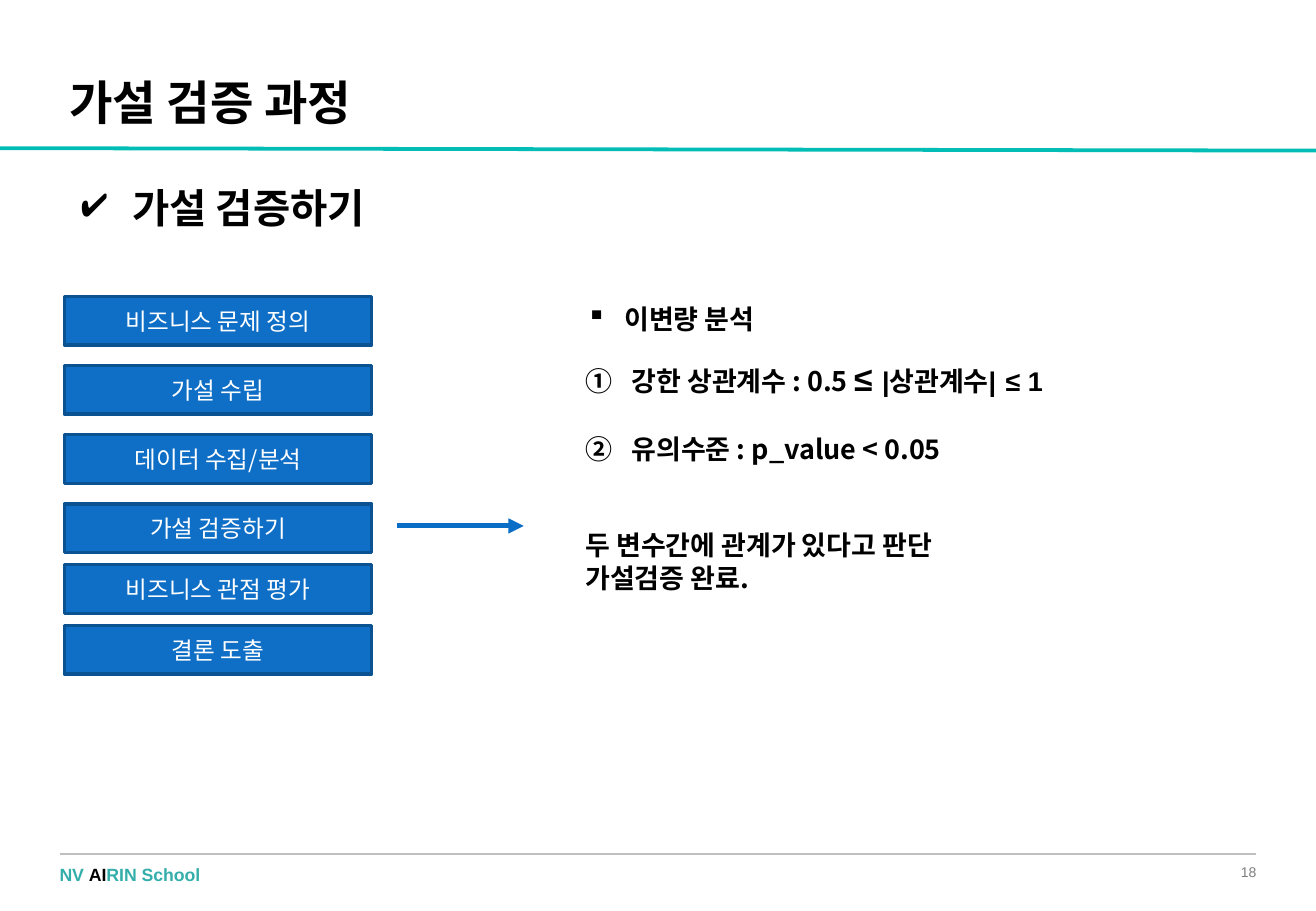
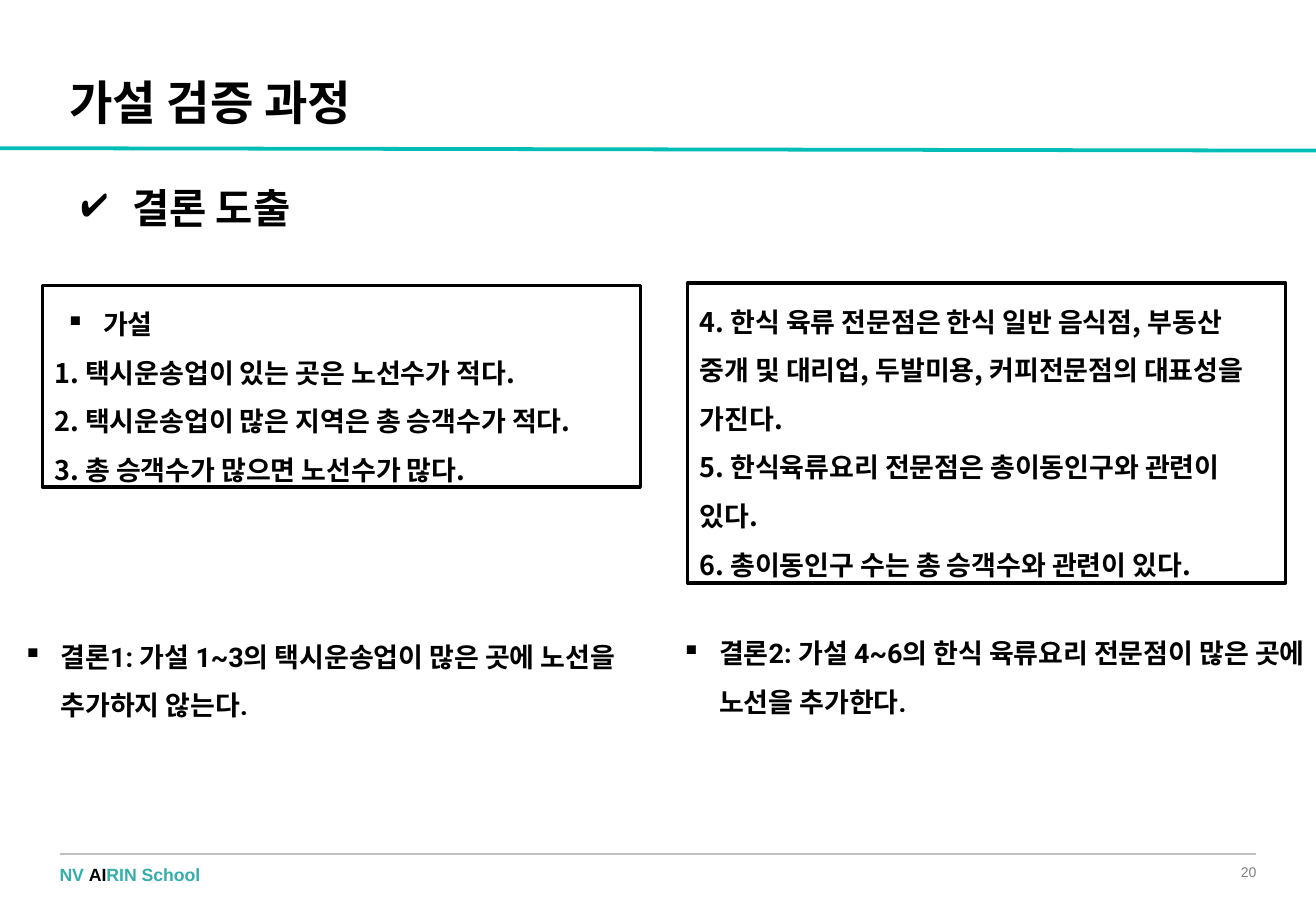
"""Build two slides on the steps of testing a hypothesis."""
from dataclasses import dataclass
from typing import Optional

from lxml.etree import SubElement as Sub
from pptx import Presentation
from pptx.dml.color import RGBColor as Rgb
from pptx.enum.shapes import MSO_CONNECTOR as Conn, MSO_SHAPE as Form
from pptx.enum.text import MSO_ANCHOR as Anchor, PP_ALIGN as Align
from pptx.oxml.ns import qn
from pptx.util import Inches, Pt


@dataclass(frozen=True)
class Theme:
    black: str = "000000"
    white: str = "FFFFFF"
    band: str = "02BDB6"
    brand: str = "34AEAA"
    rule: str = "BFBFBF"
    grey: str = "7F7F7F"
    blue: str = "0F6FC6"
    edge: str = "0B5292"
    arrow: str = "0A6DC6"
    noto: str = "Noto Sans CJK KR"
    roboto: str = "Roboto"
    arial: str = "Arial"
    title: float = 28
    head: float = 24
    big: float = 20
    body: float = 16
    step: float = 14
    foot: float = 10.5
    page: float = 8.3
    tight: float = 19.2
    loose: float = 28.8


T = Theme()


@dataclass(frozen=True)
class Run:
    text: str
    size: Optional[float] = None
    color: Optional[str] = None
    face: Optional[str] = None


@dataclass(frozen=True)
class Para:
    text: str = ""
    runs: tuple[Run, ...] = ()
    size: Optional[float] = T.body
    color: Optional[str] = T.black
    face: Optional[str] = T.noto
    bold: bool = True
    align: Align = Align.LEFT
    lead: Optional[float] = None
    before: float = 0
    left: float = 0
    hang: float = 0
    mark: str = ""
    auto: str = ""


@dataclass(frozen=True)
class Box:
    left: float
    top: float
    width: float
    height: float


def paint(font, size, color, face) -> None:
    """Set the given parts of a font."""
    if size:
        font.size = Pt(size)
    if color:
        font.color.rgb = Rgb.from_string(color)
    if face:
        font.name = face


def write(frame, paras: list[Para]) -> None:
    """Fill a text frame with paragraphs."""
    frame.word_wrap = True
    for i, item in enumerate(paras):
        par = frame.add_paragraph() if i else frame.paragraphs[0]
        props = par._p.get_or_add_pPr()
        props.set("marL", str(Inches(item.left)))
        props.set("indent", str(Inches(-item.hang)))
        if item.mark or item.auto:
            Sub(Sub(props, qn("a:buClr")), qn("a:srgbClr"), val=T.black)
        if item.mark:
            Sub(props, qn("a:buChar"), char=item.mark)
        elif item.auto:
            Sub(props, qn("a:buAutoNum"), type=item.auto)
        par.alignment = item.align
        if item.lead:
            par.line_spacing = Pt(item.lead)
        if item.before:
            par.space_before = Pt(item.before)
        par.font.bold = item.bold
        paint(par.font, item.size, item.color, item.face)
        Sub(props.find(qn("a:defRPr")), qn("a:ea"), typeface=T.noto)
        for part in item.runs or (Run(item.text),):
            run = par.add_run()
            run.text = part.text
            paint(run.font, part.size, part.color, part.face)


def label(slide, box: Box, paras: list[Para], bare: bool = False,
          anchor: Anchor = Anchor.TOP) -> None:
    """Add a text box, without insets if bare."""
    shape = slide.shapes.add_textbox(
        Inches(box.left), Inches(box.top), Inches(box.width), Inches(box.height))
    frame = shape.text_frame
    frame.vertical_anchor = anchor
    if bare:
        frame.margin_left = frame.margin_right = 0
        frame.margin_top = frame.margin_bottom = 0
    write(frame, paras)


def panel(slide, box: Box, paras: list[Para], fill: str, edge: str,
          anchor: Anchor) -> None:
    """Add a filled and outlined rectangle with text."""
    shape = slide.shapes.add_shape(
        Form.RECTANGLE, Inches(box.left), Inches(box.top),
        Inches(box.width), Inches(box.height))
    shape.shadow.inherit = False
    shape.fill.solid()
    shape.fill.fore_color.rgb = Rgb.from_string(fill)
    shape.line.color.rgb = Rgb.from_string(edge)
    shape.line.width = Pt(2)
    shape.text_frame.vertical_anchor = anchor
    write(shape.text_frame, paras)


def stroke(slide, start: tuple[float, float], end: tuple[float, float],
           color: str, width: float, arrow: bool = False) -> None:
    """Draw a straight line, with an arrowhead if asked."""
    line = slide.shapes.add_connector(
        Conn.STRAIGHT, *map(Inches, start), *map(Inches, end))
    line.line.color.rgb = Rgb.from_string(color)
    line.line.width = Pt(width)
    if arrow:
        Sub(line.line._get_or_add_ln(), qn("a:tailEnd"), type="triangle")
    Sub(line._element.spPr, qn("a:effectLst"))


def point(text: str, lead: float, face: str = T.noto) -> Para:
    """Make a square-bulleted paragraph."""
    return Para(text, lead=lead, face=face, left=0.4, hang=0.31, mark="▪")


def base(deck, page: int, head: str):
    """Add a slide with title, heading, band and footer."""
    slide = deck.slides.add_slide(deck.slide_layouts[6])
    stroke(slide, (10.83, 1.24), (0, 1.22), T.band, 2.25)
    stroke(slide, (0.49, 7.03), (10.34, 7.03), T.rule, 0.75)
    label(slide, Box(9.67, 7.11, 0.67, 0.14),
          [Para(str(page), size=T.page, color=T.grey, face=T.arial,
                bold=False, align=Align.RIGHT)], True, Anchor.MIDDLE)
    name = (Run("NV ", color=T.brand), Run("AI", color=T.black),
            Run("RIN School", color=T.brand))
    label(slide, Box(0.49, 7.11, 3.16, 0.18),
          [Para(runs=name, size=T.foot, color=None, face=T.arial)], True)
    label(slide, Box(0.47, 0.56, 9.62, 0.65),
          [Para("가설 검증 과정", size=T.title, lead=33)])
    label(slide, Box(0.49, 1.46, 9.56, 0.6),
          [Para(head, size=T.head, face=T.roboto, lead=28.5,
                left=0.5, hang=0.42, mark="✔")])
    return slide


def test(deck) -> None:
    """Build the slide on testing."""
    slide = base(deck, 18, "가설 검증하기")
    steps = ("비즈니스 문제 정의", "가설 수립", "데이터 수집/분석",
             "가설 검증하기", "비즈니스 관점 평가", "결론 도출")
    for i, step in enumerate(steps):
        top = 2.44 + 0.57 * min(i, 3) + 0.5 * max(i - 3, 0)
        panel(slide, Box(0.53, top, 2.53, 0.4),
              [Para(step, size=T.step, color=T.white, bold=False,
                    align=Align.CENTER)], T.blue, T.edge, Anchor.MIDDLE)
    stroke(slide, (3.27, 4.33), (4.31, 4.33), T.arrow, 3, True)
    label(slide, Box(4.64, 2.44, 4.66, 0.37), [point("이변량 분석", T.tight)])
    bound = (Run("강한 상관계수 : 0.5 ", T.body, face=T.noto),
             Run("≤ ", T.big, face=T.arial),
             Run("|상관계수|", T.body, face=T.arial),
             Run(" ", T.big, face=T.arial),
             Run("≤ 1", T.body, face=T.arial))
    count = dict(left=0.46, hang=0.38, auto="circleNumDbPlain")
    label(slide, Box(4.64, 2.9, 4.66, 2.05), [
        Para(runs=bound, size=None, face=None, lead=24, **count),
        Para("유의수준 : p_value < 0.05", lead=T.tight, before=20, **count),
        Para("두 변수간에 관계가 있다고 판단", lead=T.tight, before=38, left=0.08),
        Para("가설검증 완료.", lead=T.tight, left=0.08)])


def close(deck) -> None:
    """Build the slide on conclusions."""
    slide = base(deck, 20, "결론 도출")
    first = [point("가설", T.loose, T.roboto)] + [
        Para(text, lead=T.loose) for text in (
            "1. 택시운송업이 있는 곳은 노선수가 적다.",
            "2. 택시운송업이 많은 지역은 총 승객수가 적다.",
            "3. 총 승객수가 많으면 노선수가 많다.")]
    second = [Para(text, lead=T.loose) for text in (
        "4. 한식 육류 전문점은 한식 일반 음식점, 부동산 중개 및 대리업, "
        "두발미용, 커피전문점의 대표성을 가진다.",
        "5. 한식육류요리 전문점은 총이동인구와 관련이 있다.",
        "6. 총이동인구 수는 총 승객수와 관련이 있다.")]
    for box, paras in ((Box(0.35, 2.35, 4.92, 1.66), first),
                       (Box(5.66, 2.33, 4.92, 2.47), second)):
        panel(slide, box, paras, T.white, T.black, Anchor.TOP)
    for left, top, text in (
            (0, 5.09, "결론1: 가설 1~3의 택시운송업이 많은 곳에 노선을 추가하지 않는다."),
            (5.42, 5.06, "결론2: 가설 4~6의 한식 육류요리 전문점이 많은 곳에 노선을 추가한다.")):
        label(slide, Box(left, top, 5.46, 0.9),
              [point(text, T.loose, T.roboto)])


def main() -> None:
    """Build and save the deck."""
    deck = Presentation()
    deck.slide_width, deck.slide_height = Inches(10.83), Inches(7.5)
    test(deck)
    close(deck)
    deck.save("out.pptx")


if __name__ == "__main__":
    main()
